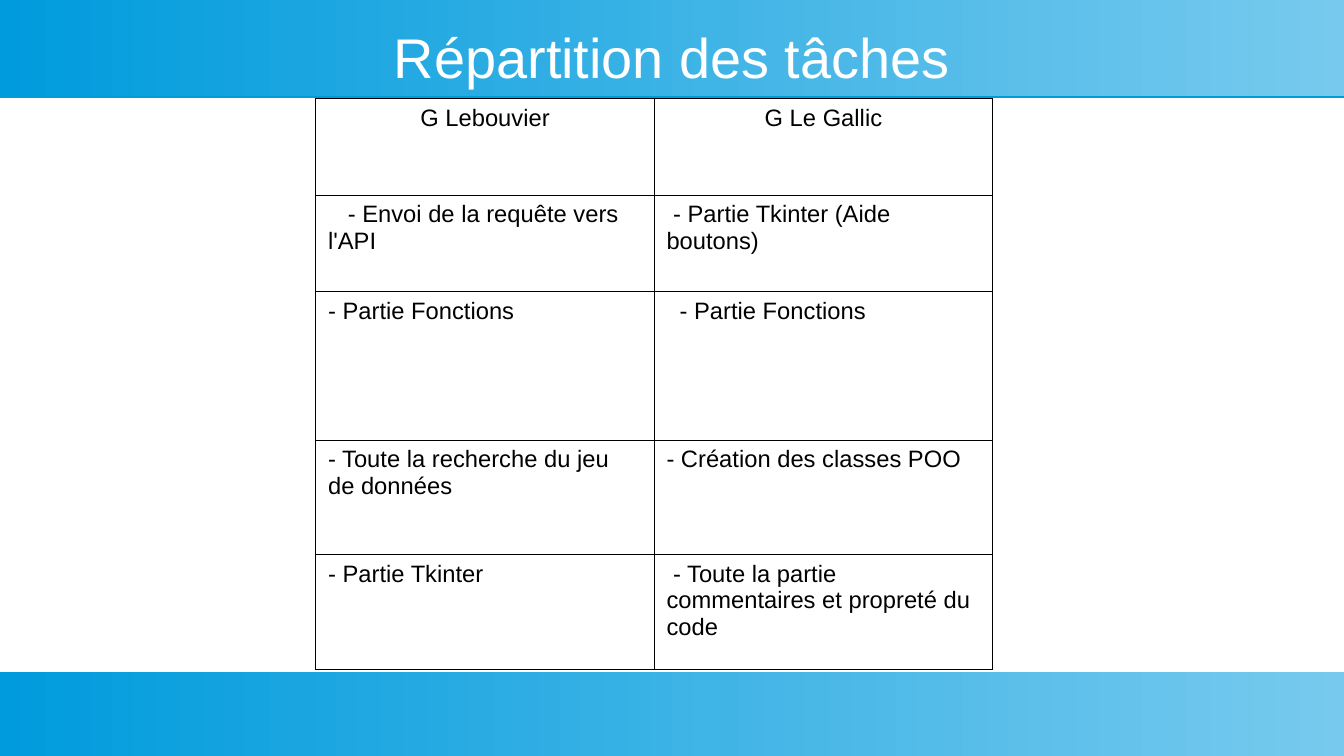
from lxml import etree
from pptx import Presentation, util as u
from pptx.dml.color import RGBColor
from pptx.enum import shapes, text
from pptx.oxml import ns

DEEP_BLUE = RGBColor(0x00, 0x9B, 0xDD)
PALE_BLUE = RGBColor(0x77, 0xCA, 0xEE)
WHITE = RGBColor(0xFF, 0xFF, 0xFF)
BLACK = RGBColor(0x00, 0x00, 0x00)
WIDTH, HEIGHT = 11.02, 6.2
SPACE_INDENT = 0.054


def add_element(parent, tag, **attributes):
    return etree.SubElement(parent, ns.qn(tag), attributes)


class TaskSlide:
    """Holds the slide and its style, and draws each kind of element."""

    font = "Arial"

    def __init__(self, slide):
        self.slide = slide

    def set_words(self, paragraph, words, size, color, align):
        paragraph.text = words
        paragraph.alignment = align
        paragraph.font.name = self.font
        paragraph.font.size = u.Pt(size)
        paragraph.font.color.rgb = color

    def band(self, top, height):
        band = self.slide.shapes.add_shape(
            shapes.MSO_SHAPE.RECTANGLE, 0, u.Inches(top), u.Inches(WIDTH), u.Inches(height))
        band.line.fill.background()
        band.fill.gradient()
        band.fill.gradient_angle = 0
        for stop, color in zip(band.fill.gradient_stops, (DEEP_BLUE, PALE_BLUE)):
            stop.color.rgb = color
        band.shadow.inherit = False
        effects = band._element.spPr.find(ns.qn("a:effectLst"))
        shadow = add_element(effects, "a:outerShdw", blurRad="0", dist=str(u.Pt(0.9)),
                             dir="5400000", algn="ctr", rotWithShape="0")
        add_element(shadow, "a:srgbClr", val=str(DEEP_BLUE))

    def title(self, words):
        frame = self.slide.shapes.add_textbox(
            u.Inches(0.39), u.Inches(0.2), u.Inches(10.24), u.Inches(0.52)).text_frame
        frame.word_wrap = True
        frame.vertical_anchor = text.MSO_ANCHOR.MIDDLE
        frame.margin_left = frame.margin_right = frame.margin_top = frame.margin_bottom = 0
        self.set_words(frame.paragraphs[0], words, 33, WHITE, text.PP_ALIGN.CENTER)

    def cell(self, cell, words, align, spaces):
        paragraph = cell.text_frame.paragraphs[0]
        self.set_words(paragraph, words, 14, BLACK, align)
        if spaces:
            properties = paragraph._p.get_or_add_pPr()
            properties.set("marL", "0")
            properties.set("indent", str(u.Inches(spaces * SPACE_INDENT)))
        borders = cell._tc.get_or_add_tcPr()
        for side in ("a:lnL", "a:lnR", "a:lnT", "a:lnB"):
            border = add_element(borders, side, w=str(u.Pt(0.57)))
            add_element(add_element(border, "a:solidFill"), "a:srgbClr", val=str(BLACK))
        cell.fill.background()

    def table(self, rows, heights):
        table = self.slide.shapes.add_table(
            len(rows), 2, u.Inches(2.59), u.Inches(0.81),
            u.Inches(5.55), u.Inches(sum(heights))).table
        table.first_row = table.horz_banding = False
        for row, height in zip(table.rows, heights):
            row.height = u.Inches(height)
        for r, entries in enumerate(rows):
            align = text.PP_ALIGN.LEFT if r else text.PP_ALIGN.CENTER
            for c, (words, spaces) in enumerate(entries):
                self.cell(table.cell(r, c), words, align, spaces)


TASKS = [
    (("G Lebouvier", 0), ("G Le Gallic", 0)),
    (("- Envoi de la requête vers l'API", 3), ("- Partie Tkinter (Aide boutons)", 1)),
    (("- Partie Fonctions", 0), ("- Partie Fonctions", 2)),
    (("- Toute la recherche du jeu de données", 0), ("- Création des classes POO", 0)),
    (("- Partie Tkinter", 0), ("- Toute la partie commentaires et propreté du code", 1)),
]


def main():
    deck = Presentation()
    deck.slide_width, deck.slide_height = u.Inches(WIDTH), u.Inches(HEIGHT)
    tasks = TaskSlide(deck.slides.add_slide(deck.slide_layouts[6]))
    tasks.band(0, 0.79)
    tasks.band(5.51, 0.69)
    tasks.title("Répartition des tâches")
    tasks.table(TASKS, [0.79, 0.79, 1.22, 0.94, 0.94])
    deck.save("out.pptx")


if __name__ == "__main__":
    main()
